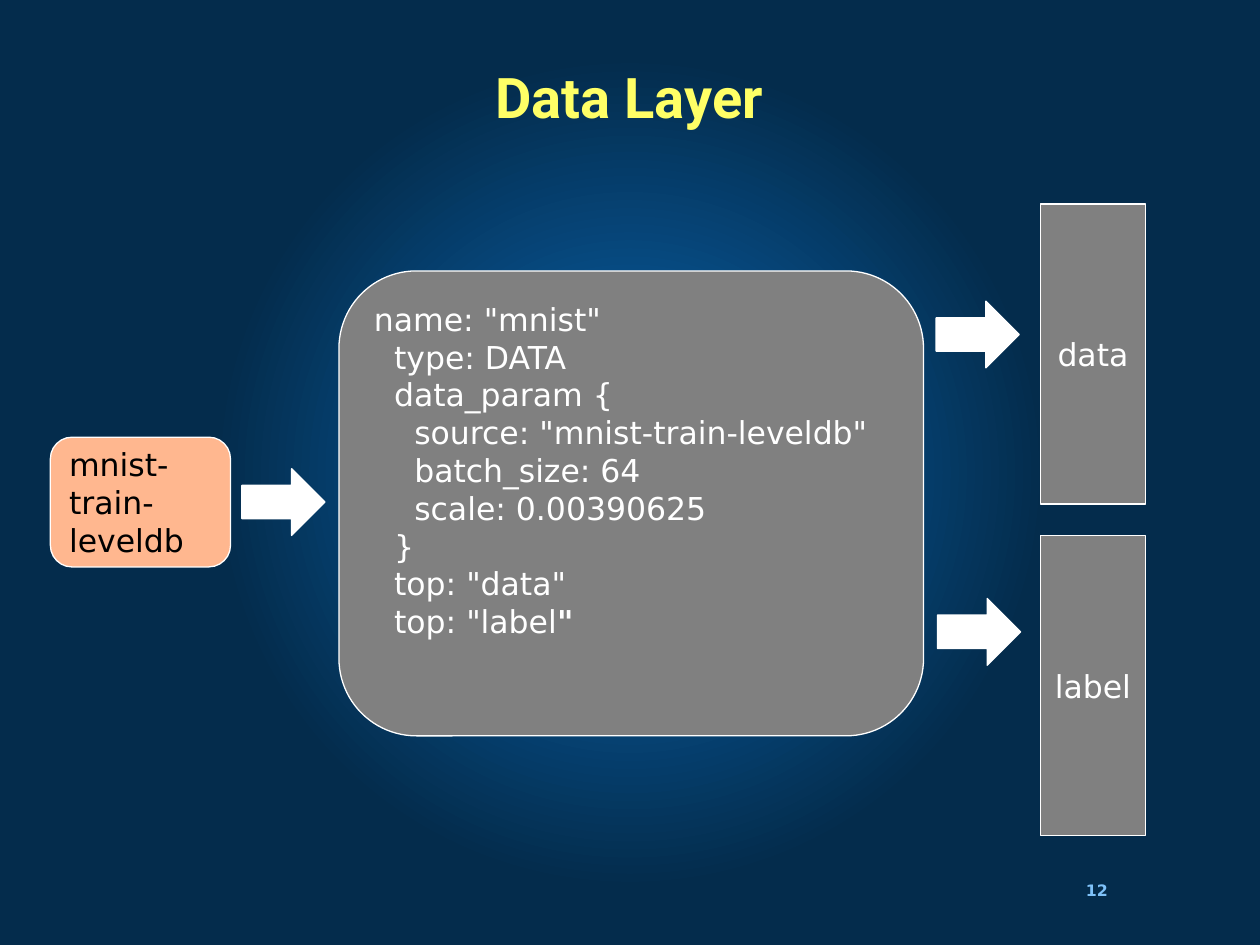
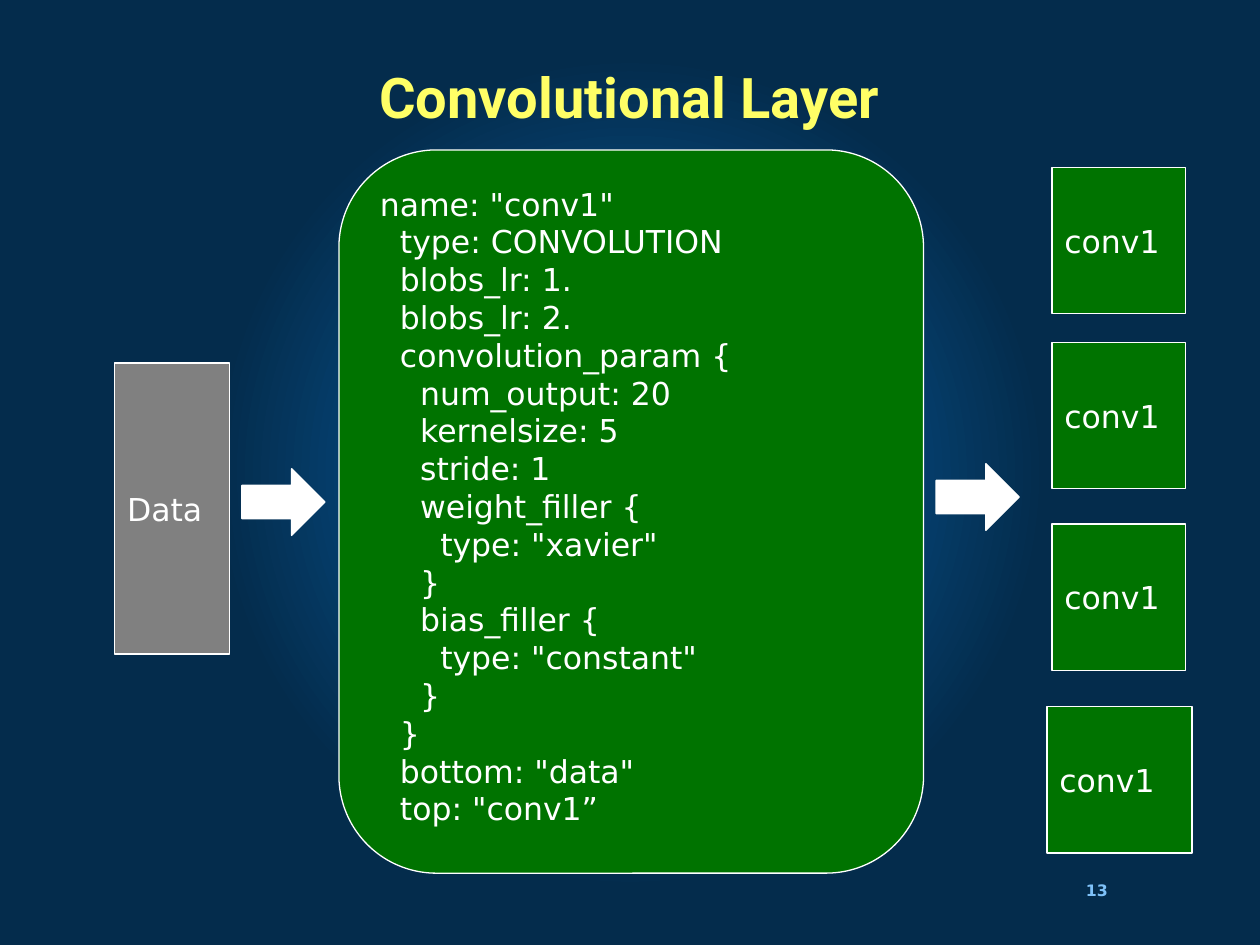
from dataclasses import dataclass
from typing import Optional

from lxml import etree
from pptx import Presentation
from pptx.dml.color import RGBColor
from pptx.enum import shapes, text
from pptx.oxml import ns
from pptx.util import Inches, Pt

WHITE = RGBColor(0xFF, 0xFF, 0xFF)
BLACK = RGBColor(0x00, 0x00, 0x00)
GREY = RGBColor(0x80, 0x80, 0x80)
GREEN = RGBColor(0x00, 0x73, 0x00)
PEACH = RGBColor(0xFF, 0xB7, 0x8F)
YELLOW = RGBColor(0xFF, 0xFF, 0x66)
PALE_BLUE = RGBColor(0x7F, 0xC2, 0xF9)
GLOW_BLUE = RGBColor(0x08, 0x60, 0xA8)
NIGHT_BLUE = RGBColor(0x04, 0x2C, 0x4C)

BODY_FONT = "DejaVu Sans"
TITLE_FONT = "Roboto"
INDENT = Inches(0.16)

RECTANGLE = shapes.MSO_SHAPE.RECTANGLE
ROUNDED = shapes.MSO_SHAPE.ROUNDED_RECTANGLE
ARROW = shapes.MSO_SHAPE.RIGHT_ARROW
LEFT = text.PP_ALIGN.LEFT
CENTER = text.PP_ALIGN.CENTER
TOP = text.MSO_ANCHOR.TOP
MIDDLE = text.MSO_ANCHOR.MIDDLE


@dataclass
class Line:
    level: int
    words: str
    bold_end: str = ""


@dataclass
class Box:
    left: float
    top: float
    width: float
    height: float
    fill: RGBColor
    lines: tuple = ()
    kind: int = RECTANGLE
    align: int = LEFT
    anchor: int = MIDDLE
    color: RGBColor = WHITE


def label(words: str) -> tuple:
    return (Line(0, words),)


def arrow(left: float, top: float) -> Box:
    return Box(left, top, 0.66, 0.53, WHITE, kind=ARROW)


def layer(top: float, height: float, fill: RGBColor, lines: tuple) -> Box:
    return Box(2.69, top, 4.64, height, fill, lines, ROUNDED, anchor=TOP)


def style(paragraph, name: str, size: float, color: RGBColor,
          bold: Optional[bool] = None) -> None:
    font = paragraph.font
    font.name = name
    font.size = Pt(size)
    font.color.rgb = color
    font.bold = bold


def draw_box(slide, box: Box) -> None:
    shape = slide.shapes.add_shape(box.kind, Inches(box.left), Inches(box.top),
                                   Inches(box.width), Inches(box.height))
    shape.shadow.inherit = False
    shape.fill.solid()
    shape.fill.fore_color.rgb = box.fill
    shape.line.color.rgb = WHITE
    shape.line.width = Pt(0.75)
    frame = shape.text_frame
    frame.word_wrap = True
    frame.vertical_anchor = box.anchor
    for index, line in enumerate(box.lines):
        paragraph = frame.add_paragraph() if index else frame.paragraphs[0]
        paragraph.alignment = box.align
        style(paragraph, BODY_FONT, 18, box.color)
        if line.level:
            paragraph._p.get_or_add_pPr().set("marL", str(line.level * INDENT))
        paragraph.add_run().text = line.words
        if line.bold_end:
            run = paragraph.add_run()
            run.text = line.bold_end
            run.font.bold = True


def set_background(master) -> None:
    fill = master.background.fill
    fill.gradient()
    for stop, position, color in zip(fill.gradient_stops, (0.06, 0.53),
                                     (GLOW_BLUE, NIGHT_BLUE)):
        stop.position = position
        stop.color.rgb = color
    linear = next(master.element.iter(ns.qn("a:lin")))
    gradient = linear.getparent()
    circle = etree.Element(ns.qn("a:path"), {"path": "circle"})
    etree.SubElement(circle, ns.qn("a:fillToRect"),
                     {side: "50000" for side in "ltrb"})
    gradient.replace(linear, circle)


def add_title(slide, words: str) -> None:
    title = slide.shapes.title
    title.left, title.top = Inches(0.39), Inches(0.17)
    title.width, title.height = Inches(9.21), Inches(1.25)
    frame = title.text_frame
    frame.text = words
    frame.vertical_anchor = MIDDLE
    paragraph = frame.paragraphs[0]
    paragraph.alignment = CENTER
    paragraph.line_spacing = 0.9
    style(paragraph, TITLE_FONT, 32, YELLOW, True)


def add_number(slide, number: int) -> None:
    box = slide.shapes.add_textbox(Inches(8.48), Inches(6.9),
                                   Inches(0.45), Inches(0.33))
    frame = box.text_frame
    frame.word_wrap = True
    frame.vertical_anchor = MIDDLE
    frame.margin_left = frame.margin_right = 0
    frame.margin_top = frame.margin_bottom = 0
    paragraph = frame.paragraphs[0]
    paragraph.add_run().text = str(number)
    paragraph.alignment = CENTER
    style(paragraph, BODY_FONT, 9, PALE_BLUE, True)


def add_slide(presentation, number: int, title: str, boxes: list) -> None:
    slide = presentation.slides.add_slide(presentation.slide_layouts[5])
    add_number(slide, number)
    add_title(slide, title)
    for box in boxes:
        draw_box(slide, box)


DATA_CODE = (
    Line(0, 'name: "mnist"'),
    Line(1, "type: DATA"),
    Line(1, "data_param {"),
    Line(2, 'source: "mnist-train-leveldb"'),
    Line(2, "batch_size: 64"),
    Line(2, "scale: 0.00390625"),
    Line(1, "}"),
    Line(1, 'top: "data"'),
    Line(1, 'top: "label', '"'),
)

CONVOLUTION_CODE = (
    Line(0, 'name: "conv1"'),
    Line(1, "type: CONVOLUTION"),
    Line(1, "blobs_lr: 1."),
    Line(1, "blobs_lr: 2."),
    Line(1, "convolution_param {"),
    Line(2, "num_output: 20"),
    Line(2, "kernelsize: 5"),
    Line(2, "stride: 1"),
    Line(2, "weight_filler {"),
    Line(3, 'type: "xavier"'),
    Line(2, "}"),
    Line(2, "bias_filler {"),
    Line(3, 'type: "constant"'),
    Line(2, "}"),
    Line(1, "}"),
    Line(1, 'bottom: "data"'),
    Line(1, 'top: "conv1”'),
)

data_boxes = [
    layer(2.15, 3.69, GREY, DATA_CODE),
    Box(0.4, 3.47, 1.43, 1.03, PEACH, label("mnist-train-leveldb"), ROUNDED,
        color=BLACK),
    arrow(1.92, 3.72),
    arrow(7.43, 2.39),
    arrow(7.44, 4.75),
]
data_boxes += [Box(8.26, top, 0.83, 2.38, GREY, label(words), align=CENTER)
               for top, words in ((1.62, "data"), (4.25, "label"))]

convolution_boxes = [
    layer(1.19, 5.74, GREEN, CONVOLUTION_CODE),
    arrow(1.92, 3.72),
    arrow(7.43, 3.68),
    Box(0.91, 2.88, 0.91, 2.31, GREY, label("Data")),
]
convolution_boxes += [Box(left, top, width, 1.16, GREEN, label("conv1"))
                      for left, top, width in ((8.35, 1.33, 1.06),
                                               (8.35, 2.72, 1.06),
                                               (8.35, 4.16, 1.06),
                                               (8.31, 5.61, 1.15))]

presentation = Presentation()
presentation.slide_width = Inches(10)
presentation.slide_height = Inches(7.5)
set_background(presentation.slide_master)
add_slide(presentation, 12, "Data Layer", data_boxes)
add_slide(presentation, 13, "Convolutional Layer", convolution_boxes)
presentation.save("out.pptx")
